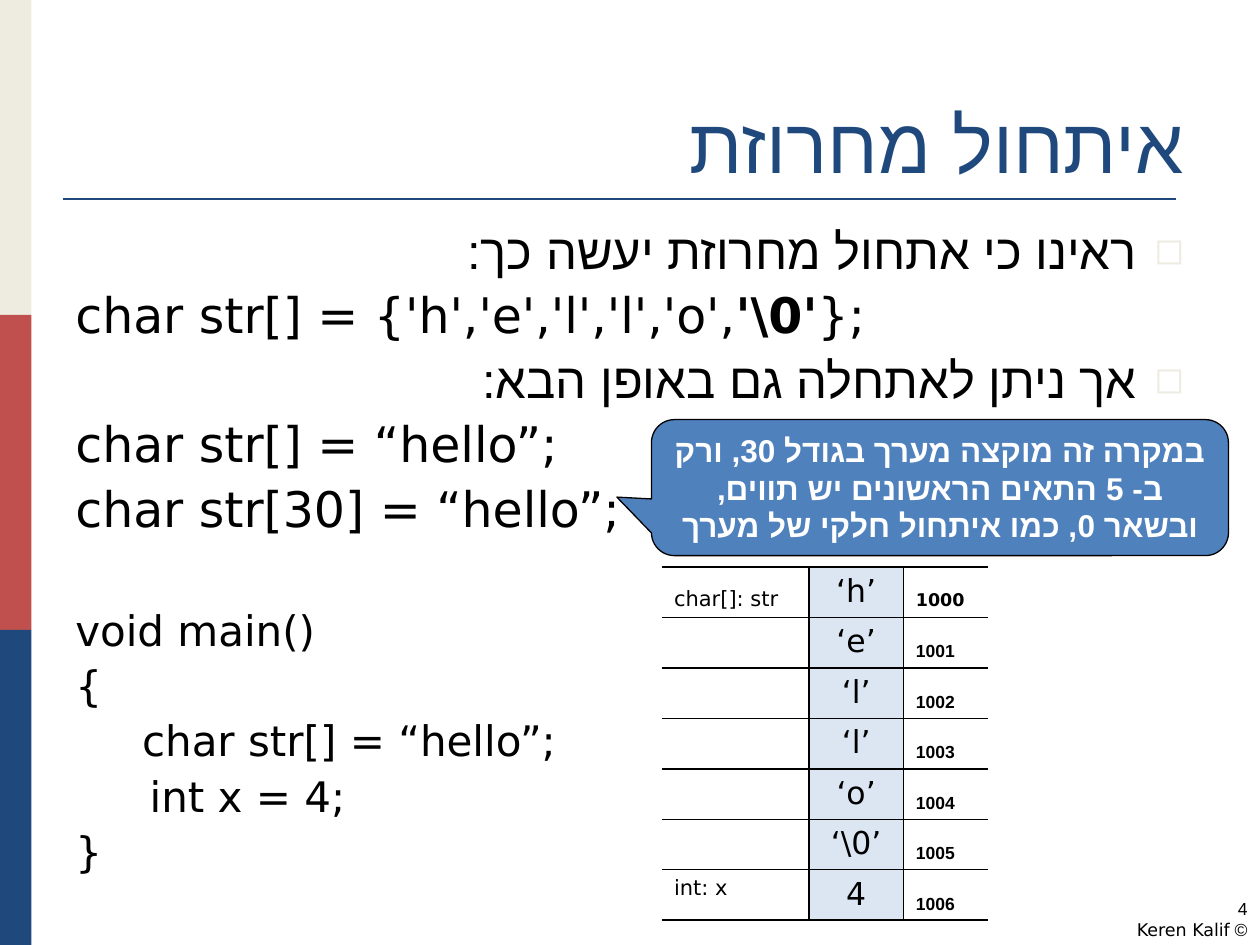
from dataclasses import dataclass

import pptx
import pptx.dml.color
import pptx.enum.shapes
import pptx.enum.text
import pptx.oxml
import pptx.oxml.ns
import pptx.util
from pptx.util import Inches

COLORS = {"cream": "EEECE1", "red": "C0504D", "navy": "1F497D", "blue": "4F81BD",
          "pale": "DCE6F2", "black": "000000", "white": "FFFFFF"}
SANS = "DejaVu Sans"
ALIGN = pptx.enum.text.PP_ALIGN
ANCHOR = pptx.enum.text.MSO_ANCHOR
SHAPE = pptx.enum.shapes.MSO_SHAPE


@dataclass
class Line:
    text: str
    size: float = 28
    hebrew: bool = False
    indent: float = 0
    before: float = 6.6
    bold_part: str = ""


@dataclass
class MemoryRow:
    value: str
    label: str = ""
    label_anchor: ANCHOR = ANCHOR.TOP
    address_font: str = "Arial"


LINES = [
    Line("ראינו כי אתחול מחרוזת יעשה כך:", hebrew=True),
    Line("char str[] = {'h','e','l','l','o','\\0'};", bold_part="'\\0'"),
    Line("אך ניתן לאתחלה גם באופן הבא:", hebrew=True),
    Line("char str[] = “hello”;"),
    Line("char str[30] = “hello”;"),
    Line("void main()", 24, before=41.5),
    Line("{", 24, before=5.6),
    Line("char str[] = “hello”;", 24, indent=0.53, before=5.6),
    Line("int x = 4;", 24, indent=0.59, before=5.6),
    Line("}", 24, before=5.6),
]
MEMORY = [
    MemoryRow("‘h’", "char[]: str", ANCHOR.BOTTOM, SANS),
    MemoryRow("‘e’"), MemoryRow("‘l’"), MemoryRow("‘l’"),
    MemoryRow("‘o’"), MemoryRow("‘\\0’"), MemoryRow("4", "int: x"),
]
FIRST_ADDRESS = 1000


def rgb(name: str) -> pptx.dml.color.RGBColor:
    return pptx.dml.color.RGBColor.from_string(COLORS[name])


def sub(parent, tag: str, **attrs):
    el = pptx.oxml.parse_xml(f"<{tag} {pptx.oxml.ns.nsdecls('a')}/>")
    for key, val in attrs.items():
        el.set(key, str(val))
    parent.append(el)
    return el


def add_text(p, text: str, *, size: float, font: str = SANS, color: str = "black",
             bold: bool = False, align=None, rtl: bool = False) -> None:
    r = p.add_run()
    r.text = text
    r.font.size = pptx.util.Pt(size)
    r.font.name = font
    r.font.bold = bold
    r.font.color.rgb = rgb(color)
    sub(r.font._element, "a:cs", typeface="Arial")
    if align is not None:
        p.alignment = align
    if rtl:
        p._p.get_or_add_pPr().set("rtl", "1")


def add_block(s, kind, at, fill: str, line: str = ""):
    sp = s.shapes.add_shape(kind, *map(Inches, at))
    sp.shadow.inherit = False
    sp.fill.solid()
    sp.fill.fore_color.rgb = rgb(fill)
    if line:
        sp.line.color.rgb = rgb(line)
        sp.line.width = pptx.util.Pt(0.75)
    else:
        sp.line.fill.background()
    return sp


def add_textbox(s, at):
    tf = s.shapes.add_textbox(*map(Inches, at)).text_frame
    tf.word_wrap = True
    return tf


def next_paragraph(tf, i: int):
    return tf.add_paragraph() if i else tf.paragraphs[0]


def add_line(p, line: Line) -> None:
    p.line_spacing = 0.9
    p.space_before = pptx.util.Pt(line.before)
    before, part, after = line.text.partition(line.bold_part or "\n")
    for text, bold in ((before, False), (part, True), (after, False)):
        if text:
            add_text(p, text, size=line.size, bold=bold, rtl=line.hebrew,
                     align=ALIGN.RIGHT if line.hebrew else ALIGN.LEFT)
    pPr = p._p.get_or_add_pPr()
    pPr.set("marL", str(Inches(0.38 if line.hebrew else line.indent)))
    pPr.set("indent", str(Inches(-0.38 if line.hebrew else 0)))
    if line.hebrew:
        sub(sub(pPr, "a:buClr"), "a:srgbClr", val=COLORS["cream"])
        sub(pPr, "a:buSzPct", val=75000)
        sub(pPr, "a:buFont", typeface=SANS)
        sub(pPr, "a:buChar", char="◻")


def format_cell(cell, sides: str, fill: str = "") -> None:
    tcPr = cell._tc.get_or_add_tcPr()
    for side in "LRTB":
        ln = sub(tcPr, f"a:ln{side}", w=pptx.util.Pt(1))
        if side in sides:
            sub(sub(ln, "a:solidFill"), "a:srgbClr", val=COLORS["black"])
        else:
            sub(ln, "a:noFill")
    if fill:
        cell.fill.solid()
        cell.fill.fore_color.rgb = rgb(fill)
    else:
        cell.fill.background()


def add_memory_table(s) -> None:
    row_height = 0.39
    table = s.shapes.add_table(len(MEMORY), 3, Inches(5.25), Inches(4.5), Inches(2.59),
                               Inches(row_height * len(MEMORY))).table
    table.first_row = table.horz_banding = False
    for col, width in zip(table.columns, (1.17, 0.75, 0.67)):
        col.width = Inches(width)
    for i, row in enumerate(MEMORY):
        table.rows[i].height = Inches(row_height)
        label, value, address = (table.cell(i, c) for c in range(3))
        format_cell(label, "RTB")
        format_cell(value, "LRTB", "pale")
        format_cell(address, "LTB")
        label.vertical_anchor = row.label_anchor
        address.vertical_anchor = ANCHOR.BOTTOM
        if row.label:
            add_text(label.text_frame.paragraphs[0], row.label, size=12)
        add_text(value.text_frame.paragraphs[0], row.value, size=18, align=ALIGN.CENTER)
        add_text(address.text_frame.paragraphs[0], str(FIRST_ADDRESS + i), size=10,
                 font=row.address_font, bold=True)


def main() -> None:
    prs = pptx.Presentation()
    prs.slide_width, prs.slide_height = Inches(10), Inches(7.5)
    s = prs.slides.add_slide(prs.slide_layouts[5])

    # Side stripe and title rule
    for i, color in enumerate(("cream", "red", "navy")):
        add_block(s, SHAPE.RECTANGLE, (0, 2.5 * i, 0.25, 2.5), color)
    rule = s.shapes.add_connector(pptx.enum.shapes.MSO_CONNECTOR.STRAIGHT,
                                  *map(Inches, (0.5, 1.58, 9.33, 1.58)))
    rule.line.color.rgb = rgb("navy")
    rule.line.width = pptx.util.Pt(1.5)
    sub(rule._element.spPr, "a:effectLst")

    # Title
    title = s.shapes.title
    title.left, title.top, title.width, title.height = map(Inches, (0.5, 0.3, 9, 1.25))
    tf = title.text_frame
    tf.auto_size = pptx.enum.text.MSO_AUTO_SIZE.NONE
    tf.vertical_anchor = ANCHOR.BOTTOM
    add_text(tf.paragraphs[0], "איתחול מחרוזת", size=44, font="Times New Roman",
             color="navy", align=ALIGN.RIGHT, rtl=True)

    # Explanation and code
    tf = add_textbox(s, (0.5, 1.75, 9, 4.95))
    for i, line in enumerate(LINES):
        add_line(next_paragraph(tf, i), line)

    add_memory_table(s)

    # Callout
    sp = add_block(s, SHAPE.ROUNDED_RECTANGULAR_CALLOUT, (5.17, 3.33, 4.58, 1.08),
                   "blue", "black")
    for i, value in enumerate((-0.56, 0.07, 0.17)):
        sp.adjustments[i] = value
    sp.text_frame.vertical_anchor = ANCHOR.MIDDLE
    add_text(sp.text_frame.paragraphs[0],
             "במקרה זה מוקצה מערך בגודל 30, ורק ב- 5 התאים הראשונים יש תווים, "
             "ובשאר 0, כמו איתחול חלקי של מערך",
             size=18, color="white", bold=True, align=ALIGN.CENTER, rtl=True)

    # Footer
    tf = add_textbox(s, (7.67, 6.92, 2.33, 0.5))
    tf.margin_top = Inches(0.21)
    for i, text in enumerate(("4", "© Keren Kalif")):
        add_text(next_paragraph(tf, i), text, size=10, align=ALIGN.RIGHT, rtl=True)

    prs.save("out.pptx")


if __name__ == "__main__":
    main()
